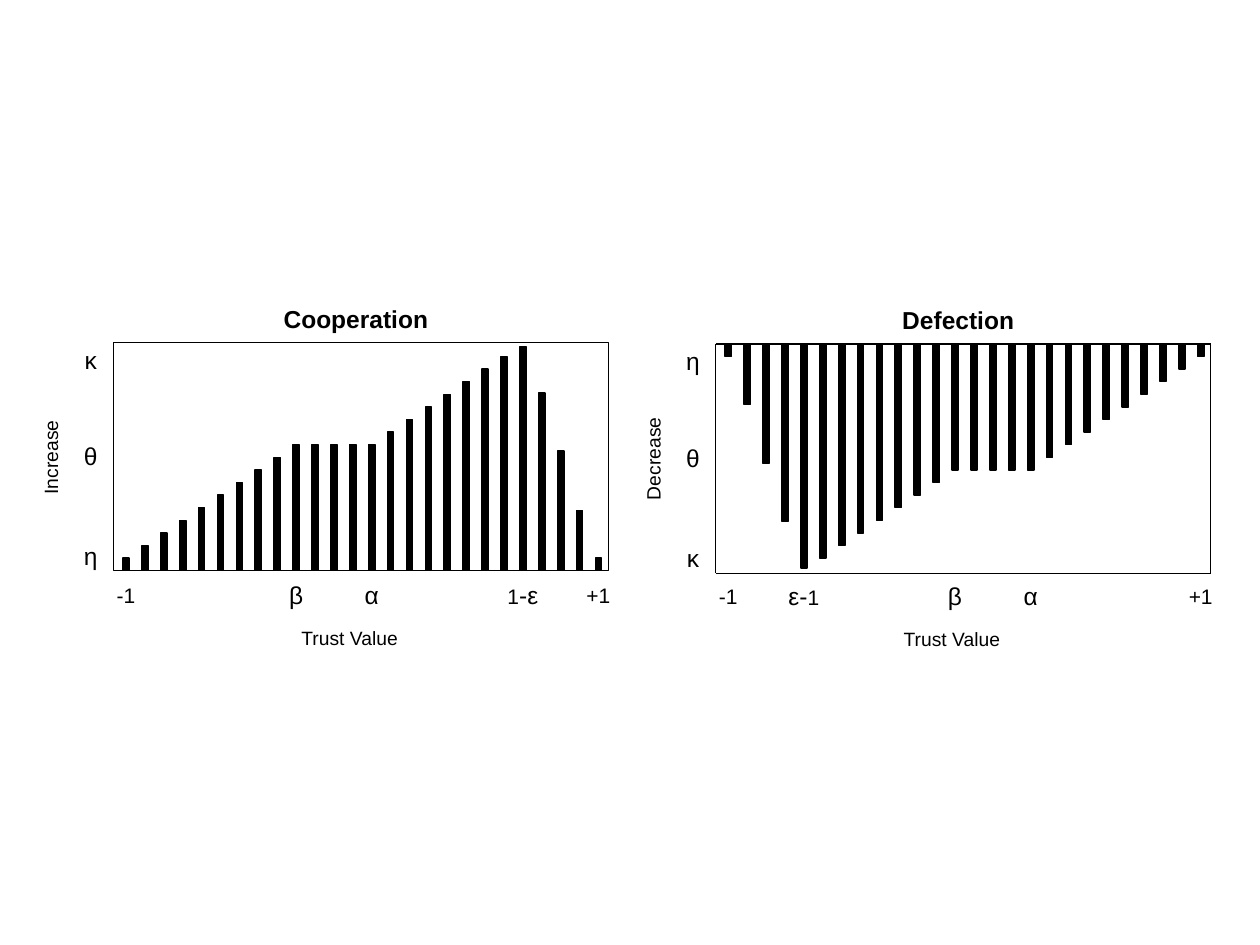
from dataclasses import dataclass

from lxml import etree
from pptx import Presentation
from pptx import util as u
from pptx.dml.color import RGBColor
from pptx.enum import shapes, text
from pptx.oxml.ns import qn


@dataclass(frozen=True)
class Theme:
    font: str = "Arial"
    ink: RGBColor = RGBColor(0, 0, 0)
    heading: int = 14
    symbol: int = 14
    number: int = 12
    axis: int = 11
    frame_line: float = 0.75
    bar_line: float = 0.88


@dataclass(frozen=True)
class Box:
    left: float
    top: float
    width: float
    height: float

    @property
    def middle(self):
        return self.left + self.width / 2

    @property
    def bottom(self):
        return self.top + self.height


THEME = Theme()
STEP = 0.1
BAR_WIDTH = 0.05
FIRST_BAR = 0.1
RISE = [STEP * count for count in range(1, 11)]
PLATEAU = [RISE[-1]] * 4
CLIMB = [STEP * count for count in range(11, 18)]
FALL = [1.78, 1.41, 0.95, 0.48, 0.1]
HEIGHTS = RISE + PLATEAU + CLIMB + FALL


def add_label(group, spans, center, top, width=0.3, bold=False, rotation=0):
    label = group.shapes.add_textbox(
        u.Inches(center - width / 2), u.Inches(top), u.Inches(width), u.Inches(0.24))
    label.rotation = rotation
    frame = label.text_frame
    frame.word_wrap = False
    frame.margin_left = frame.margin_right = frame.margin_top = frame.margin_bottom = 0
    para = frame.paragraphs[0]
    para.alignment = text.PP_ALIGN.CENTER
    para.font.name = THEME.font
    para.font.bold = bold
    para.font.color.rgb = THEME.ink
    for words, size in spans:
        span = para.add_run()
        span.text = words
        span.font.size = u.Pt(size)


def add_block(group, box, line_width, filled):
    block = group.shapes.add_shape(
        shapes.MSO_SHAPE.RECTANGLE, u.Inches(box.left), u.Inches(box.top),
        u.Inches(box.width), u.Inches(box.height))
    block.shadow.inherit = False
    if filled:
        block.fill.solid()
        block.fill.fore_color.rgb = THEME.ink
    else:
        block.fill.background()
    block.line.color.rgb = THEME.ink
    block.line.width = u.Pt(line_width)


def add_edges(group, box):
    right = box.left + box.width
    corners = [(box.left, box.top), (right, box.top),
               (right, box.bottom), (box.left, box.bottom)]
    for start, end in zip(corners, corners[1:] + corners[:1]):
        edge = group.shapes.add_connector(
            shapes.MSO_CONNECTOR.STRAIGHT, *map(u.Inches, start + end))
        edge.line.color.rgb = THEME.ink
        edge.line.width = u.Pt(THEME.frame_line)
        etree.SubElement(edge._element.spPr, qn("a:effectLst"))


def add_bars(group, box, heights, pitch, hanging):
    for index, height in enumerate(heights):
        left = box.left + FIRST_BAR + index * pitch - BAR_WIDTH / 2
        top = box.top if hanging else box.bottom - height
        add_block(group, Box(left, top, BAR_WIDTH, height), THEME.bar_line, True)


def add_panel(page, box, title, scale, symbols, ticks, pitch, hanging):
    group = page.shapes.add_group_shape()
    heights = HEIGHTS[::-1] if hanging else HEIGHTS
    add_bars(group, box, heights, pitch, hanging)
    if hanging:
        add_edges(group, box)
    else:
        add_block(group, box, THEME.frame_line, False)

    add_label(group, [(title, THEME.heading)], box.middle - 0.04, box.top - 0.31, 1.15, bold=True)
    add_label(group, [("Trust Value", THEME.axis)], box.middle - 0.09, box.top + 2.25, 0.8)
    add_label(group, [(scale, THEME.axis)], box.left - 0.47, box.top + 0.79, 0.66, rotation=270)
    for symbol, share in zip(symbols, (0.01, 0.43, 0.87)):
        add_label(group, [(symbol, THEME.symbol)], box.left - 0.18, box.top + share * box.height)

    ends = {0: [("-1", THEME.number)], len(heights) - 1: [("+1", THEME.number)]}
    for index, spans in (ends | ticks).items():
        drop = 1.9 if index in ends else 1.88
        add_label(group, spans, box.left + FIRST_BAR + index * pitch, box.top + drop)


def main():
    deck = Presentation()
    deck.slide_width, deck.slide_height = u.Inches(10), u.Inches(7.5)
    page = deck.slides.add_slide(deck.slide_layouts[6])
    alpha, beta = [("α", THEME.symbol)], [("β", THEME.symbol)]
    add_panel(page, Box(0.9, 2.72, 3.93, 1.81), "Cooperation", "Increase", "κθη",
              {9: beta, 13: alpha, 21: [("1", THEME.number), ("-ε", THEME.symbol)]},
              pitch=0.15, hanging=False)
    add_panel(page, Box(5.68, 2.73, 3.93, 1.82), "Defection", "Decrease", "ηθκ",
              {4: [("ε-", THEME.symbol), ("1", THEME.number)], 12: beta, 16: alpha},
              pitch=0.15, hanging=True)
    deck.save("out.pptx")


if __name__ == "__main__":
    main()
